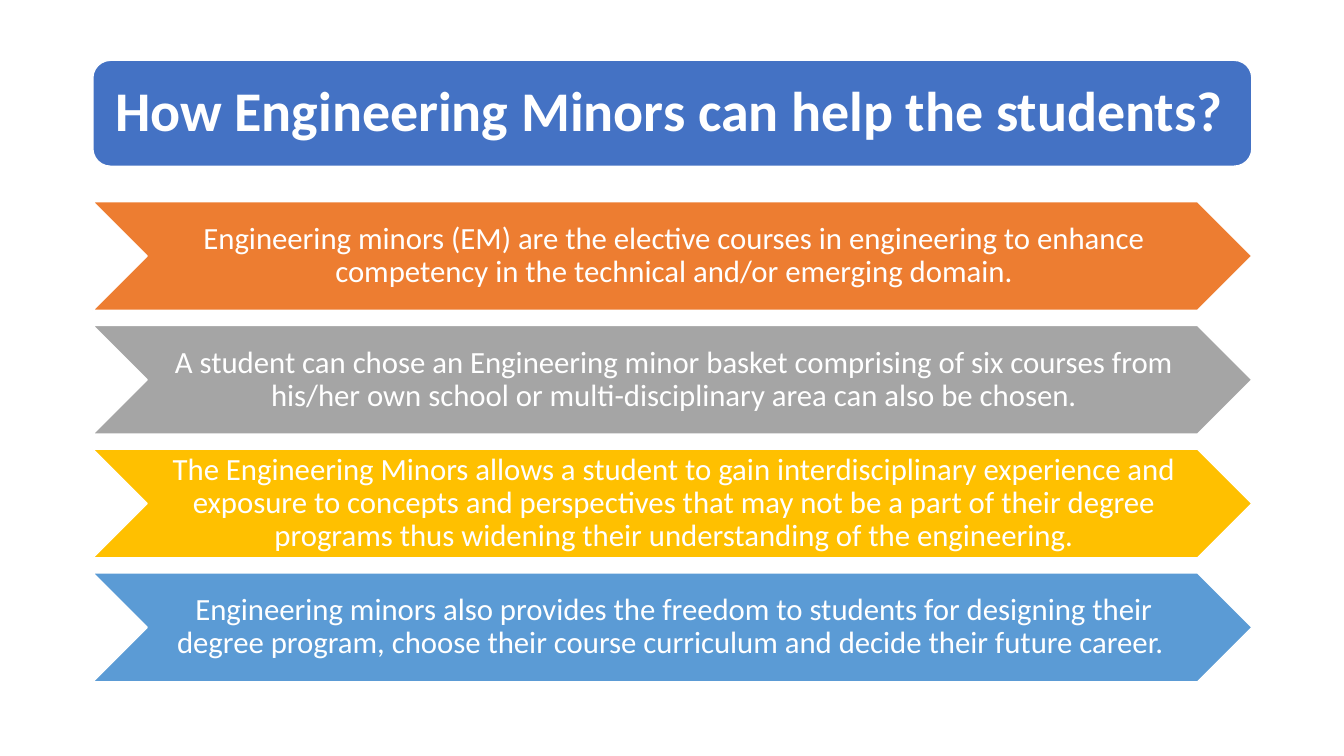
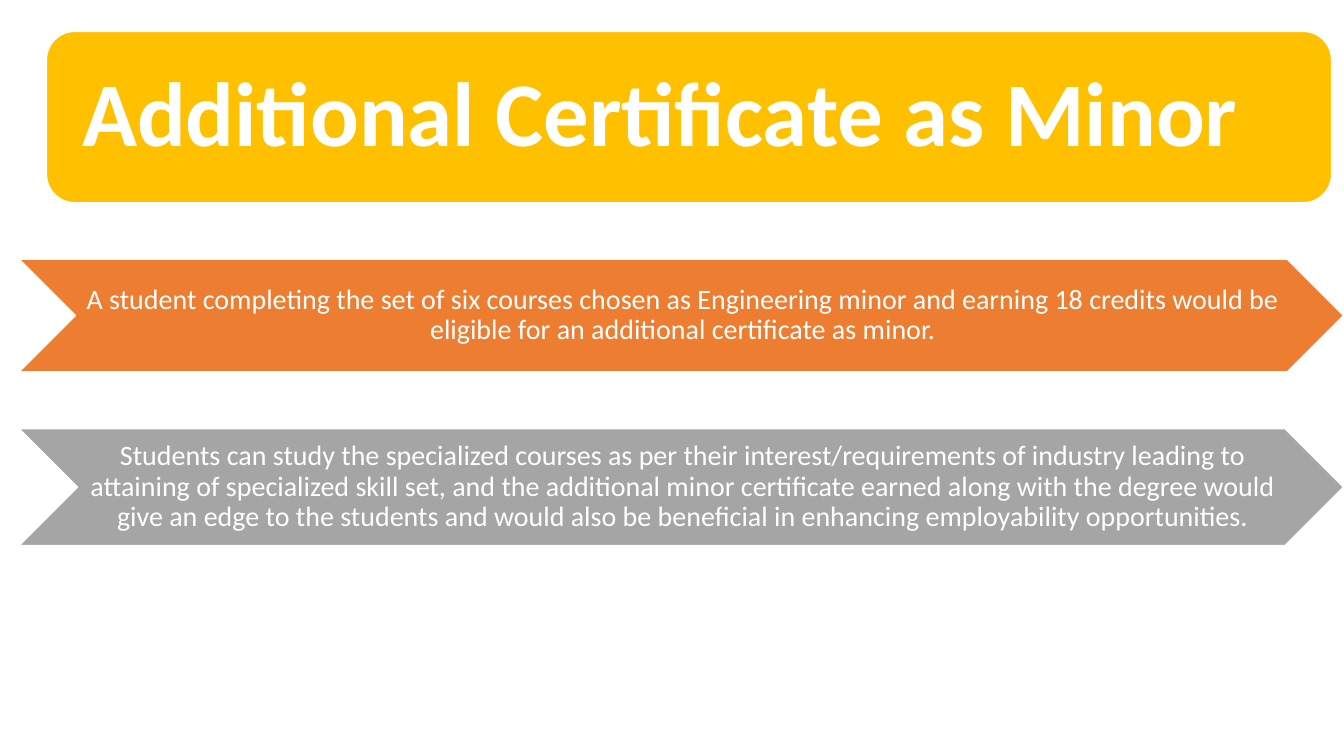
from pptx import Presentation
from pptx import util as u
from pptx.dml import color
from pptx.enum import shapes, text


def rgb(value):
    return color.RGBColor.from_string(value)


class Deck:
    FONT = "Calibri"
    WHITE = "FFFFFF"
    BLUE = "4472C4"
    ORANGE = "ED7D31"
    GRAY = "A5A5A5"
    GOLD = "FFC000"
    SKY = "5B9BD5"

    def __init__(self):
        self.prs = Presentation()
        self.prs.slide_width = u.Cm(33.87)
        self.prs.slide_height = u.Cm(19.05)
        self.s = None

    def slide(self):
        self.s = self.prs.slides.add_slide(self.prs.slide_layouts[6])

    def box(self, kind, at, fill, words, size, align, insets, bold=False):
        sp = self.s.shapes.add_shape(kind, *(u.Cm(v) for v in at))
        sp.shadow.inherit = False
        sp.fill.solid()
        sp.fill.fore_color.rgb = rgb(fill)
        sp.line.color.rgb = rgb(self.WHITE)
        sp.line.width = u.Pt(1)
        tf = sp.text_frame
        tf.word_wrap = True
        tf.vertical_anchor = text.MSO_ANCHOR.MIDDLE
        tf.margin_left, tf.margin_top, tf.margin_right, tf.margin_bottom = (
            u.Cm(v) for v in insets)
        tf.text = words
        p = tf.paragraphs[0]
        p.alignment = align
        p.line_spacing = 0.9
        r = p.runs[0]
        r.font.name = self.FONT
        r.font.size = u.Pt(size)
        r.font.bold = bold
        r.font.color.rgb = rgb(self.WHITE)

    def title(self, at, fill, words, size, inset):
        self.box(shapes.MSO_SHAPE.ROUNDED_RECTANGLE, at, fill, words, size,
                 text.PP_ALIGN.LEFT, [inset] * 4, bold=True)

    def chevron(self, at, fill, words, size):
        self.box(shapes.MSO_SHAPE.CHEVRON, at, fill, words, size,
                 text.PP_ALIGN.CENTER, (0.08, 0.04, 0, 0.04))

    def save(self):
        self.prs.save("out.pptx")


def help_slide(d):
    d.slide()
    left, width, top, height, pitch = 2.34, 29.21, 5.08, 2.74, 3.12
    d.title((left, 1.52, width, 2.67), d.BLUE,
            "How Engineering Minors can help the students?", 40, 0.43)
    points = [
        (d.ORANGE, "Engineering minors (EM) are the elective courses in engineering "
                   "to enhance competency in the technical and/or emerging domain."),
        (d.GRAY, "A student can chose an Engineering minor basket comprising of six "
                 "courses from his/her own school or multi-disciplinary area can also "
                 "be chosen."),
        (d.GOLD, "The Engineering Minors allows a student to gain interdisciplinary "
                 "experience and exposure to concepts and perspectives that may not be "
                 "a part of their degree programs thus widening their understanding of "
                 "the engineering."),
        (d.SKY, "Engineering minors also provides the freedom to students for designing "
                "their degree program, choose their course curriculum and decide their "
                "future career. "),
    ]
    for i, (fill, words) in enumerate(points):
        d.chevron((left, top + i * pitch, width, height), fill, words, 22)


def certificate_slide(d):
    d.slide()
    d.title((1.17, 0.79, 32.39, 4.32), d.GOLD,
            "Additional Certificate as Minor", 65, 0.69)
    points = [
        (6.53, 2.84, d.ORANGE,
         "A student completing the set of six courses chosen as Engineering minor and "
         "earning 18 credits would be eligible for an additional certificate as minor."),
        (10.8, 2.95, d.GRAY,
         "Students can study the specialized courses as per their interest/requirements "
         "of industry leading to attaining of specialized skill set, and the additional "
         "minor certificate earned along with the degree would give an edge to the "
         "students and would also be beneficial in enhancing employability "
         "opportunities."),
    ]
    for top, height, fill, words in points:
        d.chevron((0.48, top, 33.38, height), fill, words, 20)


def main():
    d = Deck()
    help_slide(d)
    certificate_slide(d)
    d.save()


if __name__ == "__main__":
    main()
